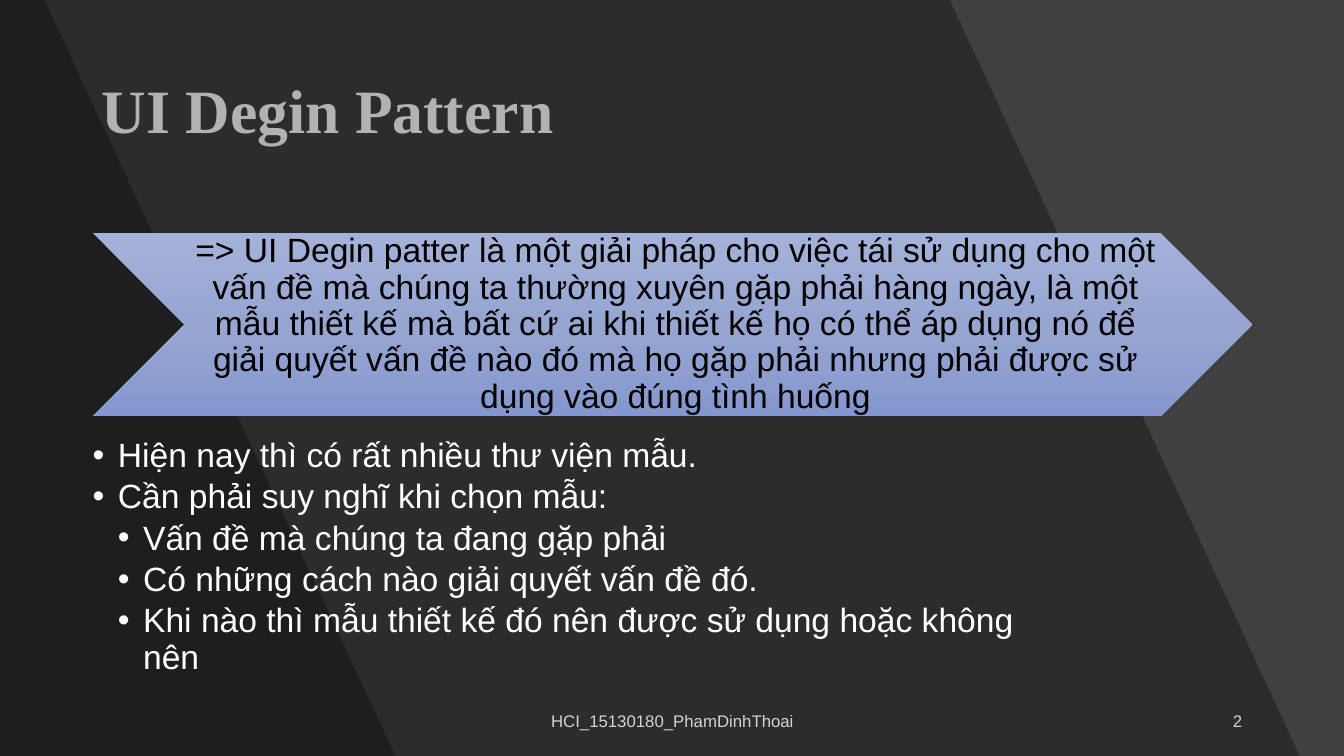
import copy

import lxml.etree
import pptx
import pptx.dml.color
import pptx.enum.shapes
import pptx.enum.text
import pptx.oxml.ns
import pptx.util

PX = 9144  # 100 px to the inch
COLORS = {
    "page": "404040",
    "band": "000000",
    "white": "FFFFFF",
    "black": "000000",
    "arrow_top": "A4B2D9",
    "arrow_middle": "97A6D1",
    "arrow_bottom": "8497CE",
}
ALIGN = pptx.enum.text.PP_ALIGN
ANCHOR = pptx.enum.text.MSO_ANCHOR
SUMMARY = (
    "=> UI Degin patter là một giải pháp cho việc tái sử dụng cho một vấn đề mà "
    "chúng ta thường xuyên gặp phải hàng ngày, là một mẫu thiết kế mà bất cứ ai "
    "khi thiết kế họ có thể áp dụng nó để giải quyết vấn đề nào đó mà họ gặp phải "
    "nhưng phải được sử dụng vào đúng tình huống"
)
POINTS = [
    (1, "Hiện nay thì có rất nhiều thư viện mẫu."),
    (1, "Cần phải suy nghĩ khi chọn mẫu:"),
    (2, "Vấn đề mà chúng ta đang gặp phải"),
    (2, "Có những cách nào giải quyết vấn đề đó."),
    (2, "Khi nào thì mẫu thiết kế đó nên được sử dụng hoặc không nên"),
]


def rgb(name):
    return pptx.dml.color.RGBColor.from_string(COLORS[name])


def add_child(parent, tag, **attributes):
    return lxml.etree.SubElement(parent, pptx.oxml.ns.qn(tag), attributes)


def set_opacity(element, percent):
    """Set the opacity of the first RGB colour inside the element."""
    color = element.find(".//" + pptx.oxml.ns.qn("a:srgbClr"))
    add_child(color, "a:alpha", val=str(percent * 1000))


def place(shape, box):
    shape.left, shape.top, shape.width, shape.height = [length * PX for length in box]


def set_up_frame(frame, insets, anchor):
    frame.word_wrap = True
    frame.auto_size = pptx.enum.text.MSO_AUTO_SIZE.NONE
    frame.vertical_anchor = anchor
    (frame.margin_left, frame.margin_top,
     frame.margin_right, frame.margin_bottom) = [inset * PX for inset in insets]


def add_text_box(page, box, insets=(10, 5, 10, 5), anchor=ANCHOR.MIDDLE):
    shape = page.shapes.add_textbox(*[length * PX for length in box])
    set_up_frame(shape.text_frame, insets, anchor)
    return shape.text_frame


def write(para, text, size, color="white", font="Arial", align=ALIGN.LEFT,
          spacing=0.9, after=0.0):
    para.text = text
    para.alignment = align
    para.line_spacing = spacing
    para.space_after = pptx.util.Pt(after)
    span = para.runs[0]
    span.font.size = pptx.util.Pt(size)
    span.font.name = font
    span.font.color.rgb = rgb(color)
    return span


def add_background(page, height):
    """Darken the page with two overlapping bands that have slanted right edges."""
    page.background.fill.solid()
    page.background.fill.fore_color.rgb = rgb("page")
    for top_right, bottom_right in [(942, 1289), (44, 392)]:
        builder = page.shapes.build_freeform(0, 0, scale=PX)
        builder.add_line_segments(
            [(top_right, 0), (bottom_right, height), (0, height)], close=True)
        band = builder.convert_to_shape()
        band.shadow.inherit = False
        band.line.fill.background()
        band.fill.solid()
        band.fill.fore_color.rgb = rgb("band")
        set_opacity(band.element.spPr, 30)


def add_title(page, box):
    title = page.shapes.title
    place(title, box)
    set_up_frame(title.text_frame, (10, 5, 10, 5), ANCHOR.MIDDLE)
    span = write(title.text_frame.paragraphs[0], "UI Degin Pattern", 44,
                 font="Times New Roman", after=6)
    span.font.bold = True


def add_summary_arrow(page, box):
    left, top, width, height = box
    arrow = page.shapes.add_shape(pptx.enum.shapes.MSO_SHAPE.CHEVRON,
                                  *[length * PX for length in box])
    arrow.shadow.inherit = False
    arrow.line.fill.background()
    arrow.fill.gradient()
    arrow.fill.gradient_angle = 270
    stops = arrow.element.find(".//" + pptx.oxml.ns.qn("a:gsLst"))
    stops.insert(1, copy.deepcopy(stops[0]))
    names = ["arrow_top", "arrow_middle", "arrow_bottom"]
    for index, (stop, name) in enumerate(zip(arrow.fill.gradient_stops, names)):
        stop.position = index / 2
        stop.color.rgb = rgb(name)

    notch = height // 2
    frame = add_text_box(page, (left + notch, top, width - 2 * notch, height),
                         (10, 4, 4, 4))
    write(frame.paragraphs[0], SUMMARY, 24, "black", align=ALIGN.CENTER)


def add_points(page, box, indent=25):
    frame = add_text_box(page, box, (0, 0, 0, 0), ANCHOR.TOP)
    for index, (level, text) in enumerate(POINTS):
        para = frame.add_paragraph() if index else frame.paragraphs[0]
        write(para, text, 24, after=3.6)
        para.level = level
        properties = para._p.get_or_add_pPr()
        properties.set("marL", str(level * indent * PX))
        properties.set("indent", str(-indent * PX))
        add_child(properties, "a:buFont", typeface="Arial")
        add_child(properties, "a:buChar", char="•")


def add_footer(page, box):
    """Write the footer centred in the box and the page number at its right end."""
    left, top, width, height = box
    number_width = 300
    parts = [
        ("HCI_15130180_PhamDinhThoai", left, width - 2 * (number_width + 50), ALIGN.CENTER),
        ("2", left + width - number_width, number_width, ALIGN.RIGHT),
    ]
    for text, part_left, part_width, align in parts:
        if align == ALIGN.CENTER:
            part_left = left + (width - part_width) // 2
        frame = add_text_box(page, (part_left, top, part_width, height))
        span = write(frame.paragraphs[0], text, 12, align=align, spacing=1.0, after=6)
        set_opacity(span._r, 80)


def main():
    deck = pptx.Presentation()
    deck.slide_width, deck.slide_height = 1333 * PX, 750 * PX
    page = deck.slides.add_slide(deck.slide_layouts[5])
    add_background(page, 750)
    add_footer(page, (92, 695, 1150, 40))
    add_title(page, (91, 40, 1151, 145))
    add_summary_arrow(page, (92, 231, 1150, 182))
    add_points(page, (92, 435, 920, 230))
    deck.save("out.pptx")


if __name__ == "__main__":
    main()
